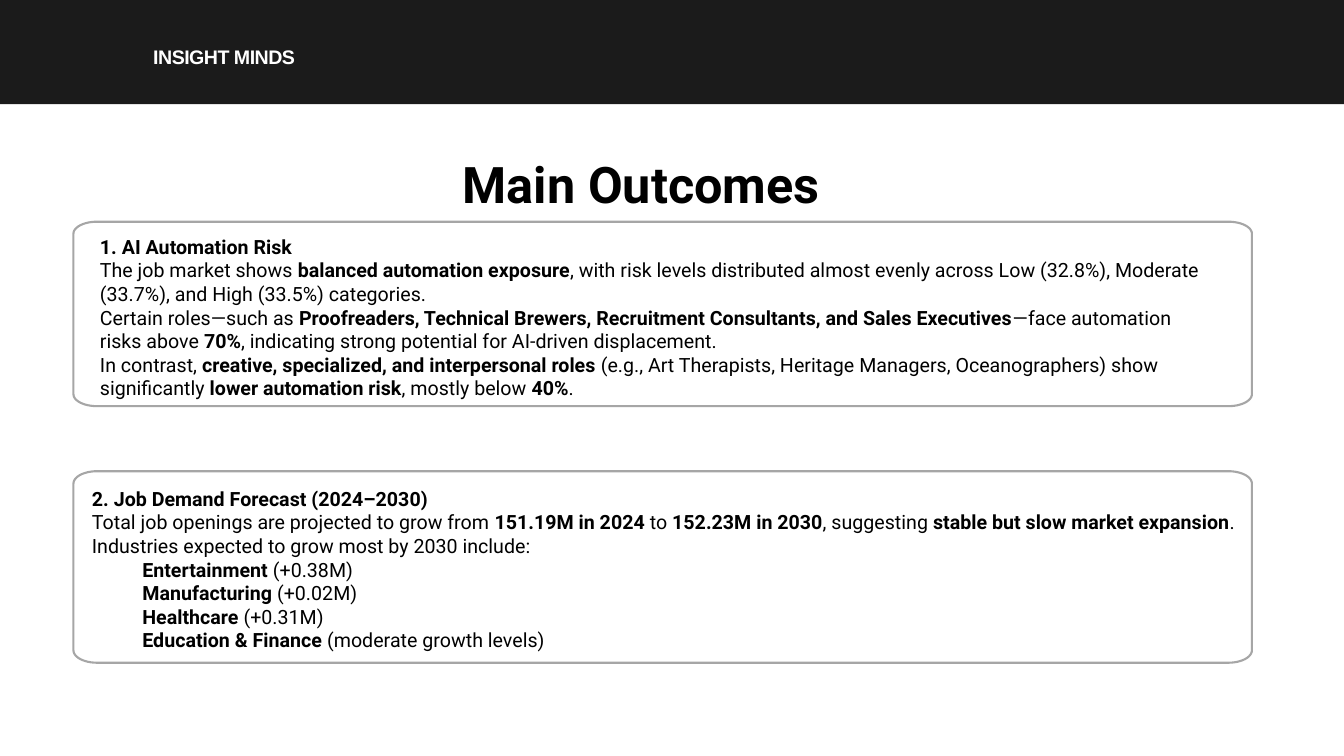
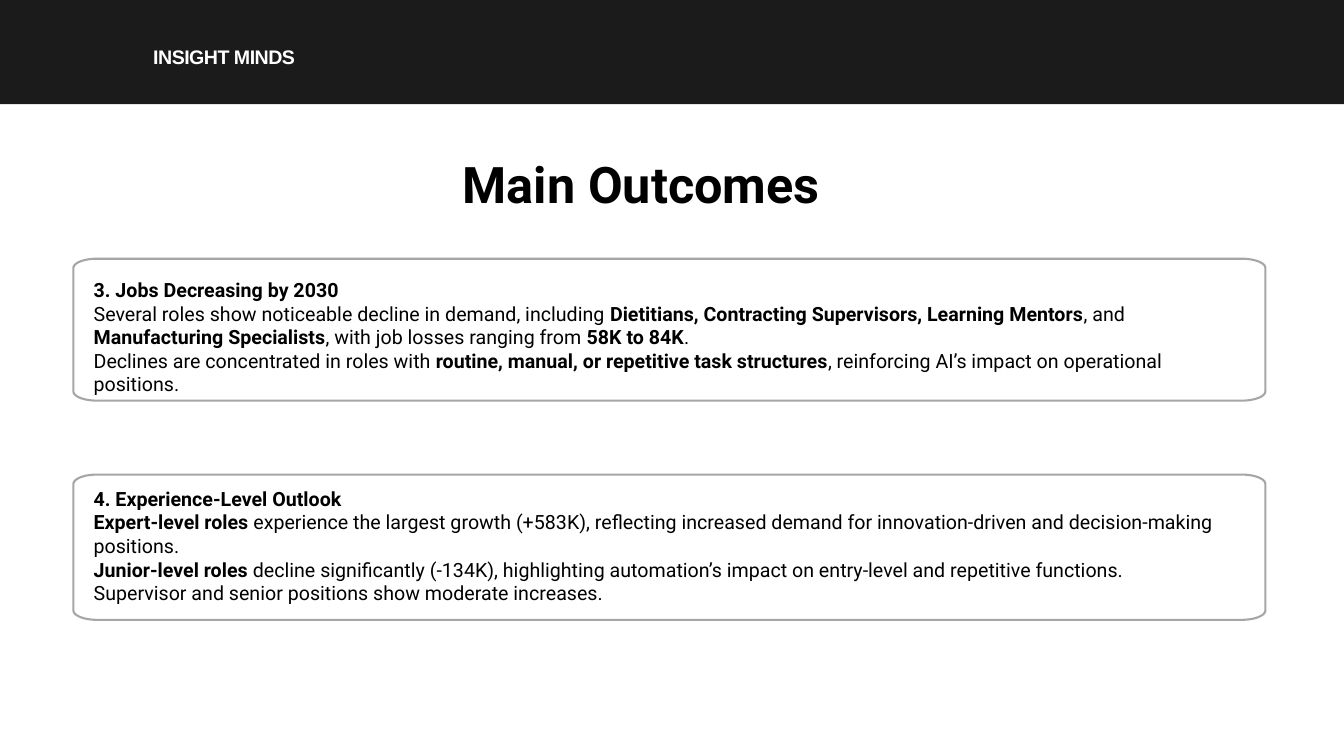
import math
from dataclasses import dataclass

import pptx
import pptx.dml.color
import pptx.enum.text
import pptx.presentation
import pptx.shapes.autoshape
import pptx.shapes.shapetree
import pptx.slide
import pptx.text.text
import pptx.util
import pptx.enum.shapes

SLIDE_WIDTH = pptx.util.Inches(13.33)
SLIDE_HEIGHT = pptx.util.Inches(7.5)
COLUMNS, ROWS = 160, 90
COLORS = {"band": "1B1B1B", "paper": "FFFFFF", "ink": "000000", "outline": "A6A6A6"}
BODY_FONT, TAG_FONT = "Roboto", "Arial"
INDENT = pptx.util.Inches(0.5)
CORNER_WIDTH_SHARE, CORNER_HEIGHT_SHARE = 0.02, 0.065
CORNER_STEPS = 12


@dataclass(frozen=True)
class Area:
    """A rectangle in grid columns and rows."""

    left: float
    top: float
    width: float
    height: float

    def emu(self) -> tuple[int, int, int, int]:
        column, row = SLIDE_WIDTH / COLUMNS, SLIDE_HEIGHT / ROWS
        return (round(self.left * column), round(self.top * row),
                round(self.width * column), round(self.height * row))


@dataclass(frozen=True)
class TextStyle:
    font: str
    size: float
    color: str


@dataclass(frozen=True)
class Card:
    """An outlined box; ** switches bold on and off, a leading > indents."""

    frame: Area
    text_area: Area
    lines: tuple[str, ...]


BAND = Area(0, 0, COLUMNS, 12.4)
TAG_AREA = Area(18.24, 4.92, 21.24, 3.12)
TITLE_AREA = Area(47, 17.64, 58.7, 8.52)
TAG_STYLE = TextStyle(TAG_FONT, 14, "paper")
TITLE_STYLE = TextStyle(BODY_FONT, 36, "ink")
BODY_STYLE = TextStyle(BODY_FONT, 14, "ink")

SLIDES = (
    (
        Card(Area(8.74, 26.4, 140.3, 21.96), Area(11.9, 27.96, 133, 19.8), (
            "**1. AI Automation Risk**",
            "The job market shows **balanced automation exposure**, with risk levels distributed "
            "almost evenly across Low (32.8%), Moderate (33.7%), and High (33.5%) categories.",
            "Certain roles—such as **Proofreaders, Technical Brewers, Recruitment Consultants, "
            "and Sales Executives**—face automation risks above **70%**, indicating strong "
            "potential for AI-driven displacement.",
            "In contrast, **creative, specialized, and interpersonal roles** (e.g., Art Therapists, "
            "Heritage Managers, Oceanographers) show significantly **lower automation risk**, "
            "mostly below **40%**.",
        )),
        Card(Area(8.74, 56.1, 140.3, 22.8), Area(10.95, 57.96, 143.8, 19.8), (
            "**2. Job Demand Forecast (2024–2030)**",
            "Total job openings are projected to grow from **151.19M in 2024** to "
            "**152.23M in 2030**, suggesting **stable but slow market expansion**.",
            "Industries expected to grow most by 2030 include:",
            ">**Entertainment** (+0.38M)",
            ">**Manufacturing** (+0.02M)",
            ">**Healthcare** (+0.31M)",
            ">**Education & Finance** (moderate growth levels)",
        )),
    ),
    (
        Card(Area(8.74, 30.8, 141.9, 16.9), Area(11.15, 33.1, 137.2, 14.1), (
            "**3. Jobs Decreasing by 2030**",
            "Several roles show noticeable decline in demand, including **Dietitians, Contracting "
            "Supervisors, Learning Mentors**, and **Manufacturing Specialists**, with job losses "
            "ranging from **58K to 84K**.",
            "Declines are concentrated in roles with **routine, manual, or repetitive task "
            "structures**, reinforcing AI’s impact on operational positions.",
        )),
        Card(Area(8.74, 56.5, 141.9, 17.3), Area(11.15, 57.96, 135.6, 14.1), (
            "**4. Experience-Level Outlook**",
            "**Expert-level roles** experience the largest growth (+583K), reflecting increased "
            "demand for innovation-driven and decision-making positions.",
            "**Junior-level roles** decline significantly (-134K), highlighting automation’s "
            "impact on entry-level and repetitive functions.",
            "Supervisor and senior positions show moderate increases.",
        )),
    ),
)


def rgb(name: str) -> pptx.dml.color.RGBColor:
    return pptx.dml.color.RGBColor.from_string(COLORS[name])


def paint(shape: pptx.shapes.autoshape.Shape, fill: str, line: str | None = None) -> None:
    shape.shadow.inherit = False
    shape.fill.solid()
    shape.fill.fore_color.rgb = rgb(fill)
    if line is None:
        shape.line.fill.background()
    else:
        shape.line.color.rgb = rgb(line)
        shape.line.width = pptx.util.Pt(1.5)


def write_line(paragraph: pptx.text.text._Paragraph, line: str, style: TextStyle) -> None:
    if line.startswith(">"):
        paragraph.level = 1
        properties = paragraph._p.get_or_add_pPr()
        properties.set("marL", str(INDENT))
        properties.set("indent", "0")
    for index, part in enumerate(line.removeprefix(">").split("**")):
        if part:
            run = paragraph.add_run()
            run.text = part
            run.font.bold = index % 2 == 1
    paragraph.font.name = style.font
    paragraph.font.size = pptx.util.Pt(style.size)
    paragraph.font.color.rgb = rgb(style.color)


def add_text(shapes: pptx.shapes.shapetree._BaseGroupShapes, area: Area,
             lines: tuple[str, ...], style: TextStyle) -> pptx.text.text.TextFrame:
    frame = shapes.add_textbox(*area.emu()).text_frame
    frame.word_wrap = True
    frame.margin_left = frame.margin_top = frame.margin_right = frame.margin_bottom = 0
    for index, line in enumerate(lines):
        paragraph = frame.add_paragraph() if index else frame.paragraphs[0]
        write_line(paragraph, line, style)
    return frame


def add_rounded_frame(shapes: pptx.shapes.shapetree._BaseGroupShapes, area: Area) -> None:
    """Draw a box whose corners are quarter ellipses, wider than high."""
    left, top, width, height = area.emu()
    radius_x, radius_y = width * CORNER_WIDTH_SHARE, height * CORNER_HEIGHT_SHARE
    near_x, far_x = left + radius_x, left + width - radius_x
    near_y, far_y = top + radius_y, top + height - radius_y
    centers = ((far_x, far_y), (near_x, far_y), (near_x, near_y), (far_x, near_y))
    points = []
    for quarter, (center_x, center_y) in enumerate(centers):
        for step in range(CORNER_STEPS + 1):
            angle = math.pi / 2 * (quarter + step / CORNER_STEPS)
            points.append((round(center_x + radius_x * math.cos(angle)),
                           round(center_y + radius_y * math.sin(angle))))
    builder = shapes.build_freeform(*points[0])
    builder.add_line_segments(points[1:], close=True)
    paint(builder.convert_to_shape(), "paper", "outline")


def add_card(slide: pptx.slide.Slide, card: Card) -> None:
    group = slide.shapes.add_group_shape()
    add_rounded_frame(group.shapes, card.frame)
    add_text(group.shapes, card.text_area, card.lines, BODY_STYLE)


def add_header(slide: pptx.slide.Slide) -> None:
    band = slide.shapes.add_shape(pptx.enum.shapes.MSO_SHAPE.RECTANGLE, *BAND.emu())
    paint(band, "band")
    tag = add_text(slide.shapes, TAG_AREA, ("**INSIGHT MINDS**",), TAG_STYLE).paragraphs[0]
    tag.line_spacing = pptx.util.Pt(19.6)
    tag.runs[0].font._element.set("spc", "-40")
    title = add_text(slide.shapes, TITLE_AREA, ("**Main Outcomes**",), TITLE_STYLE)
    title.margin_top = pptx.util.Inches(0.05)
    title.paragraphs[0].alignment = pptx.enum.text.PP_ALIGN.CENTER


def add_outcomes_slide(presentation: pptx.presentation.Presentation,
                       cards: tuple[Card, ...]) -> None:
    slide = presentation.slides.add_slide(presentation.slide_layouts[6])
    add_header(slide)
    for card in cards:
        add_card(slide, card)


def main() -> None:
    presentation = pptx.Presentation()
    presentation.slide_width = SLIDE_WIDTH
    presentation.slide_height = SLIDE_HEIGHT
    for cards in SLIDES:
        add_outcomes_slide(presentation, cards)
    presentation.save("out.pptx")


if __name__ == "__main__":
    main()
